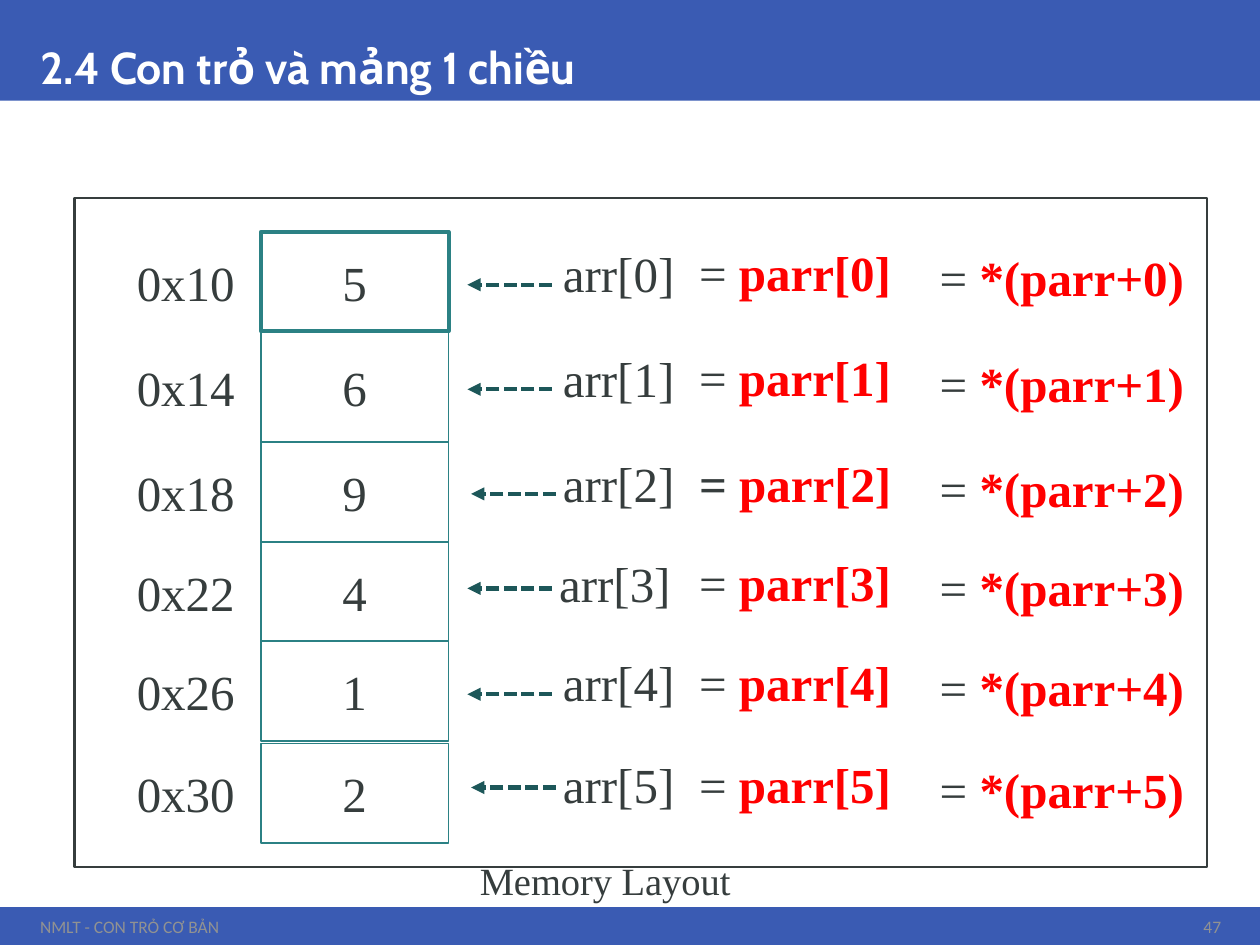
from dataclasses import dataclass

from lxml.etree import SubElement
from pptx import Presentation
from pptx.dml.color import RGBColor
from pptx.enum.dml import MSO_LINE
from pptx.enum.shapes import MSO_CONNECTOR, MSO_SHAPE
from pptx.enum.text import MSO_ANCHOR, MSO_AUTO_SIZE, PP_ALIGN
from pptx.oxml.ns import qn
from pptx.util import Inches, Pt


@dataclass(frozen=True)
class Theme:
    band: str = "3A5BB3"
    white: str = "FFFFFF"
    ink: str = "363D3D"
    muted: str = "919292"
    cell: str = "2B8184"
    arrow: str = "1D5759"
    accent: str = "FF0000"
    title_font: str = "Cabin"
    footer_font: str = "Calibri"
    body_font: str = "Times New Roman"
    title_size: float = 25.5
    body_size: float = 28
    caption_size: float = 22
    footer_size: float = 10


@dataclass(frozen=True)
class MemoryRow:
    address: str
    value: str
    top: float
    height: float
    arrow_left: float
    arrow_y: float
    name_left: float = 3.96
    equals_bold: bool = False


class SlideBuilder:
    def __init__(self, slide, theme):
        self.shapes = slide.shapes
        self.theme = theme

    def add_runs(self, frame, runs, size, font, align, anchor):
        frame.vertical_anchor = anchor
        paragraph = frame.paragraphs[0]
        paragraph.alignment = align
        for words, color, bold in runs:
            run = paragraph.add_run()
            run.text = words
            run.font.size = Pt(size)
            run.font.name = font
            run.font.bold = bold
            run.font.color.rgb = RGBColor.from_string(color)
        return paragraph

    def text(self, box, runs, size=None, font=None, align=PP_ALIGN.LEFT,
             anchor=MSO_ANCHOR.MIDDLE, wrap=True):
        frame = self.shapes.add_textbox(*map(Inches, box)).text_frame
        frame.word_wrap = wrap
        if not wrap:
            frame.auto_size = MSO_AUTO_SIZE.SHAPE_TO_FIT_TEXT
        return self.add_runs(frame, runs, size or self.theme.body_size,
                             font or self.theme.body_font, align, anchor)

    def rect(self, box, fill=None, line=None, width=1.0, label=None):
        rect = self.shapes.add_shape(MSO_SHAPE.RECTANGLE, *map(Inches, box))
        rect.shadow.inherit = False
        if fill:
            rect.fill.solid()
            rect.fill.fore_color.rgb = RGBColor.from_string(fill)
        else:
            rect.fill.background()
        if line:
            rect.line.color.rgb = RGBColor.from_string(line)
            rect.line.width = Pt(width)
        else:
            rect.line.fill.background()
        if label:
            self.add_runs(rect.text_frame, [(label, self.theme.ink, False)],
                          self.theme.body_size, self.theme.body_font,
                          PP_ALIGN.CENTER, MSO_ANCHOR.MIDDLE)

    def arrow(self, left, y, length):
        arrow = self.shapes.add_connector(
            MSO_CONNECTOR.STRAIGHT, Inches(left + length), Inches(y),
            Inches(left), Inches(y))
        arrow.line.color.rgb = RGBColor.from_string(self.theme.arrow)
        arrow.line.width = Pt(2.5)
        arrow.line.dash_style = MSO_LINE.SQUARE_DOT
        properties = arrow._element.spPr
        SubElement(properties.find(qn("a:ln")), qn("a:tailEnd"), type="triangle")
        SubElement(properties, qn("a:effectLst"))


ROWS = [
    MemoryRow("0x10", "5", 1.84, 0.79, 3.71, 2.26),
    MemoryRow("0x14", "6", 2.63, 0.88, 3.71, 3.09),
    MemoryRow("0x18", "9", 3.51, 0.79, 3.74, 3.92, equals_bold=True),
    MemoryRow("0x22", "4", 4.3, 0.79, 3.71, 4.67, name_left=3.93),
    MemoryRow("0x26", "1", 5.09, 0.79, 3.71, 5.51),
    MemoryRow("0x30", "2", 5.9, 0.79, 3.74, 6.25),
]


def add_frame(builder, theme):
    builder.rect((0, 0, 10, 0.8), fill=theme.band)
    builder.rect((0, 7.2, 10, 0.3), fill=theme.band)
    title = builder.text(
        (0.22, 0, 9.57, 0.8),
        [("2.4 Con trỏ và mảng 1 chiều", theme.white, True)],
        theme.title_size, theme.title_font, anchor=MSO_ANCHOR.BOTTOM)
    title.line_spacing = 0.9
    footers = [(0.22, 8.26, "NMLT - CON TRỎ CƠ BẢN", PP_ALIGN.LEFT),
               (9.26, 0.53, "47", PP_ALIGN.RIGHT)]
    for left, width, words, align in footers:
        builder.text((left, 7.22, width, 0.26), [(words, theme.muted, False)],
                     theme.footer_size, theme.footer_font, align)


def add_memory_row(builder, theme, index, row):
    column = 1.49
    builder.rect((2.07, row.top, column, row.height), line=theme.cell,
                 width=2.25 if index == 0 else 1, label=row.value)
    builder.arrow(row.arrow_left, row.arrow_y, 0.67)
    builder.text((0.47, row.top, column, row.height),
                 [(row.address, theme.ink, False)], align=PP_ALIGN.RIGHT)
    builder.text((row.name_left, row.top - 0.07, column, row.height),
                 [(f"arr[{index}]", theme.ink, False)], align=PP_ALIGN.RIGHT)
    builder.text((5.45, row.top - 0.06, 1.9, row.height - 0.03),
                 [("= ", theme.ink, row.equals_bold),
                  (f"parr[{index}]", theme.accent, True)])
    builder.text((7.36, row.top - 0.02, 2.6, row.height - 0.03),
                 [("= ", theme.ink, False),
                  (f"*(parr+{index})", theme.accent, True)])


def main():
    deck = Presentation()
    deck.slide_width = Inches(10)
    deck.slide_height = Inches(7.5)
    theme = Theme()
    builder = SlideBuilder(deck.slides.add_slide(deck.slide_layouts[6]), theme)
    add_frame(builder, theme)
    for index, row in reversed(list(enumerate(ROWS))):
        add_memory_row(builder, theme, index, row)
    builder.rect((0.59, 1.57, 8.99, 5.31), line=theme.ink, width=1.5)
    builder.text((3.71, 6.75, 2.29, 0.47),
                 [("Memory Layout", theme.ink, False)],
                 theme.caption_size, anchor=MSO_ANCHOR.TOP, wrap=False)
    deck.save("out.pptx")


if __name__ == "__main__":
    main()
